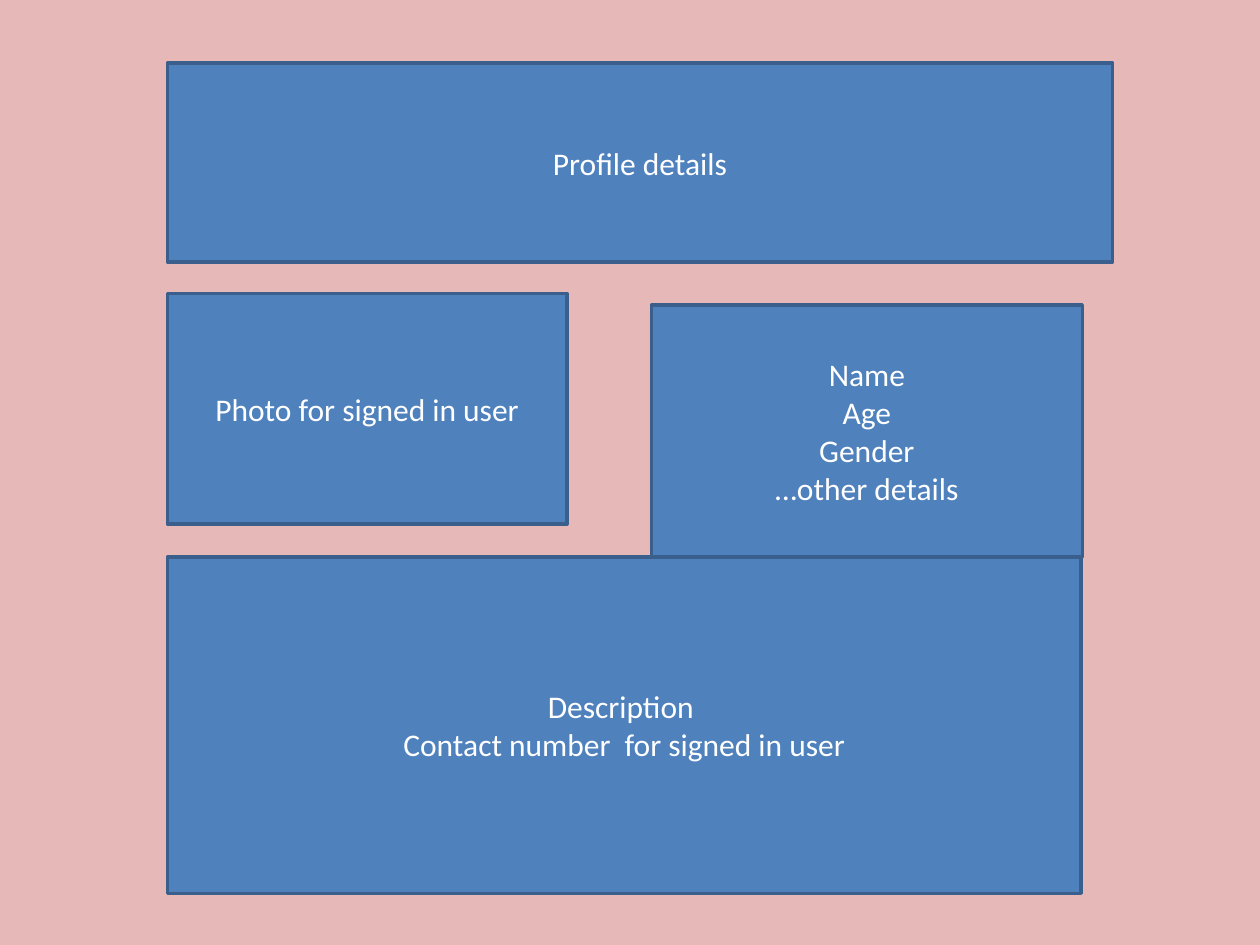
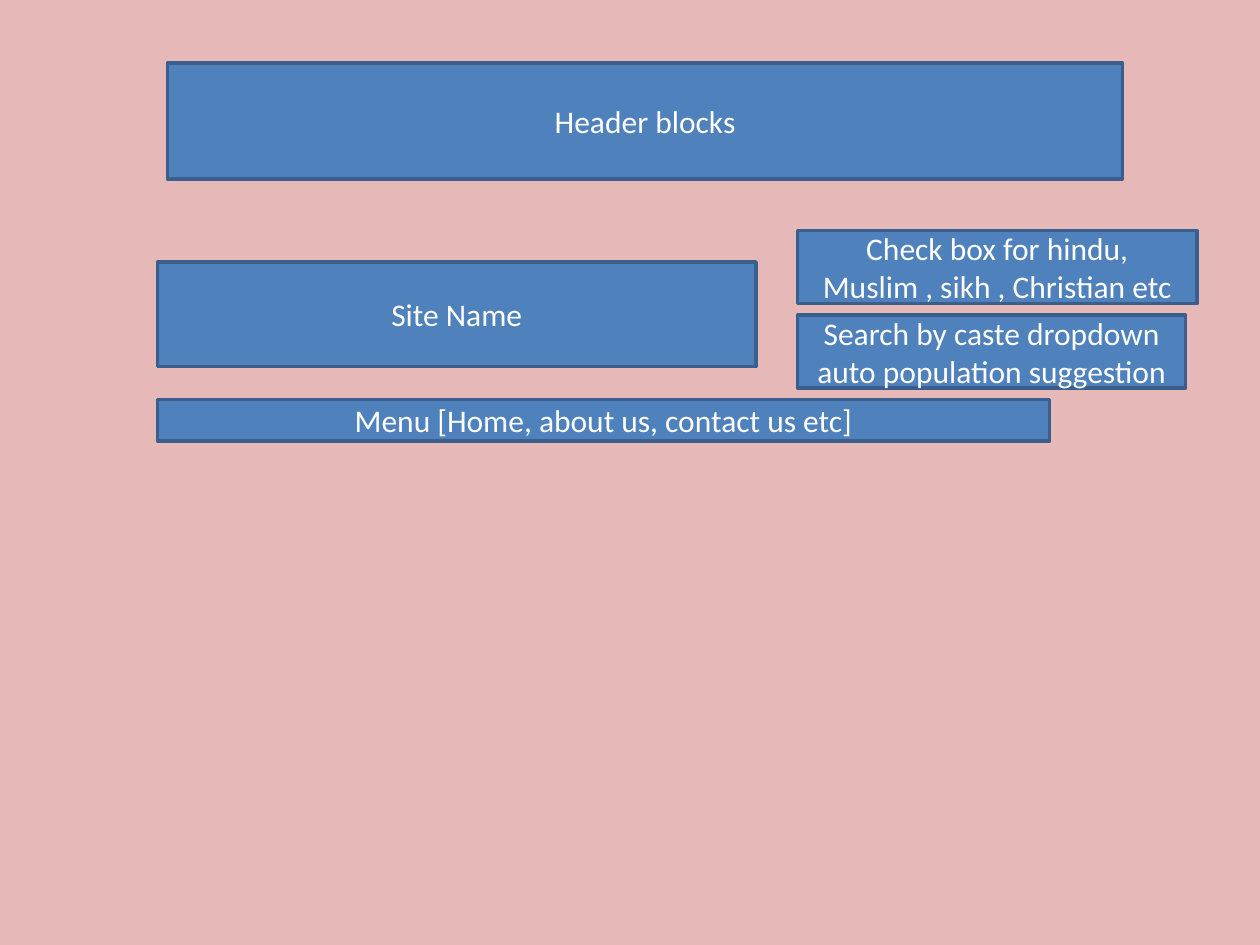
from pptx import Presentation
from pptx.dml.color import RGBColor
from pptx.enum.shapes import MSO_SHAPE
from pptx.enum.text import MSO_ANCHOR, PP_ALIGN
from pptx.util import Inches, Pt

RECT = MSO_SHAPE.RECTANGLE
MIDDLE = MSO_ANCHOR.MIDDLE
CENTER = PP_ALIGN.CENTER

COLORS = {"background": "E6B9B8", "block": "4F81BD", "border": "3A5F8C", "text": "FFFFFF"}
FONT = {"name": "Calibri", "size": Pt(18)}

# Each block: left, top, width, height in inches, then its lines of text
PROFILE_BLOCKS = [
    (1.33, 0.5, 7.5, 1.58, ["Profile details"]),
    (1.33, 2.33, 3.17, 1.83, ["Photo for signed in user"]),
    (5.17, 2.42, 3.42, 2, ["Name", "Age", "Gender", "…other details"]),
    (1.33, 4.42, 7.25, 2.67, ["Description ", "Contact number  for signed in user"]),
]
HEADER_BLOCKS = [
    (1.33, 0.5, 7.58, 0.92, ["Header blocks"]),
    (1.25, 2.08, 4.75, 0.83, ["Site Name"]),
    (1.25, 3.17, 7.08, 0.33, ["Menu [Home, about us, contact us etc]"]),
    (6.33, 2.5, 3.08, 0.58, ["Search by caste dropdown auto population suggestion"]),
    (6.33, 1.83, 3.17, 0.58, ["Check box for hindu, Muslim , sikh , Christian etc"]),
]


def color(name):
    return RGBColor.from_string(COLORS[name])


def paint(fill, name):
    fill.solid()
    fill.fore_color.rgb = color(name)


def add_block(s, left, top, width, height, lines):
    """Add a bordered rectangle with centred lines of text."""
    sp = s.shapes.add_shape(RECT, *map(Inches, (left, top, width, height)))
    sp.shadow.inherit = False
    paint(sp.fill, "block")
    sp.line.color.rgb = color("border")
    sp.line.width = Pt(2)

    tf = sp.text_frame
    tf.word_wrap = True
    tf.vertical_anchor = MIDDLE
    for i, line in enumerate(lines):
        p = tf.add_paragraph() if i else tf.paragraphs[0]
        p.alignment = CENTER
        r = p.add_run()
        r.text = line
        for key, value in FONT.items():
            setattr(r.font, key, value)
        r.font.color.rgb = color("text")


def add_wireframe(prs, blocks):
    """Add a slide that shows one page layout."""
    s = prs.slides.add_slide(prs.slide_layouts[6])
    paint(s.background.fill, "background")
    for block in blocks:
        add_block(s, *block)


def main():
    prs = Presentation()
    prs.slide_width, prs.slide_height = Inches(10), Inches(7.5)
    for blocks in (PROFILE_BLOCKS, HEADER_BLOCKS):
        add_wireframe(prs, blocks)
    prs.save("out.pptx")


if __name__ == "__main__":
    main()
